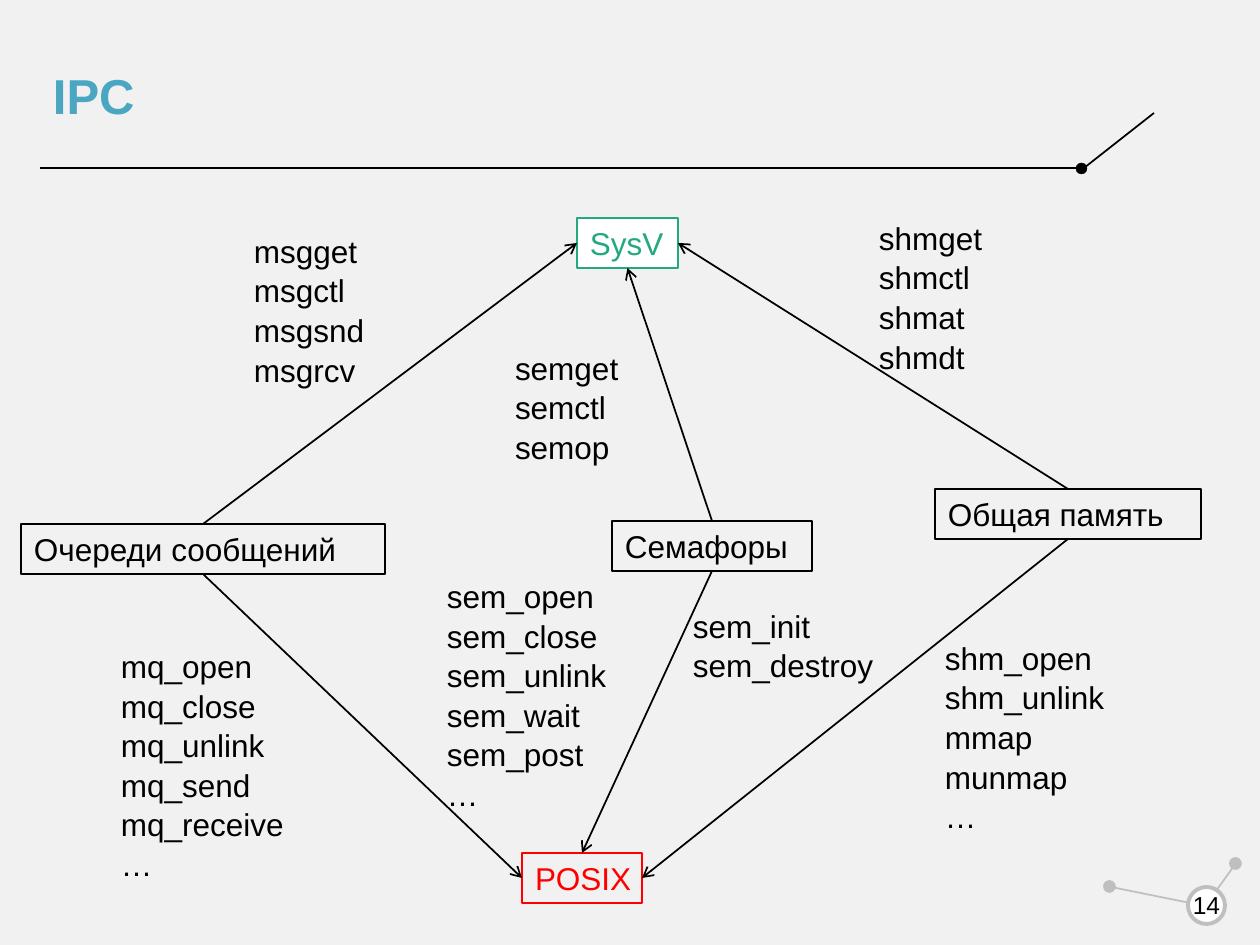
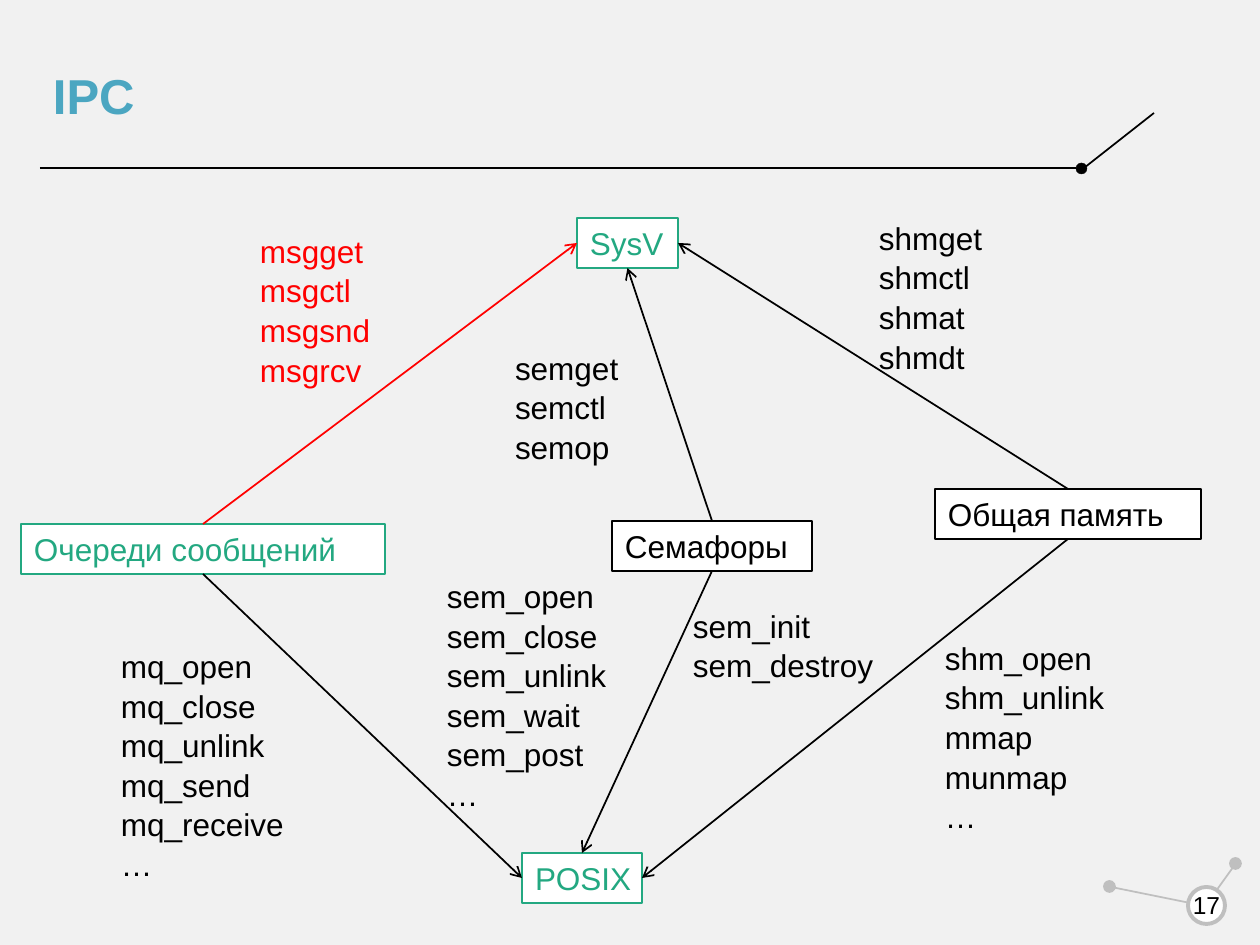
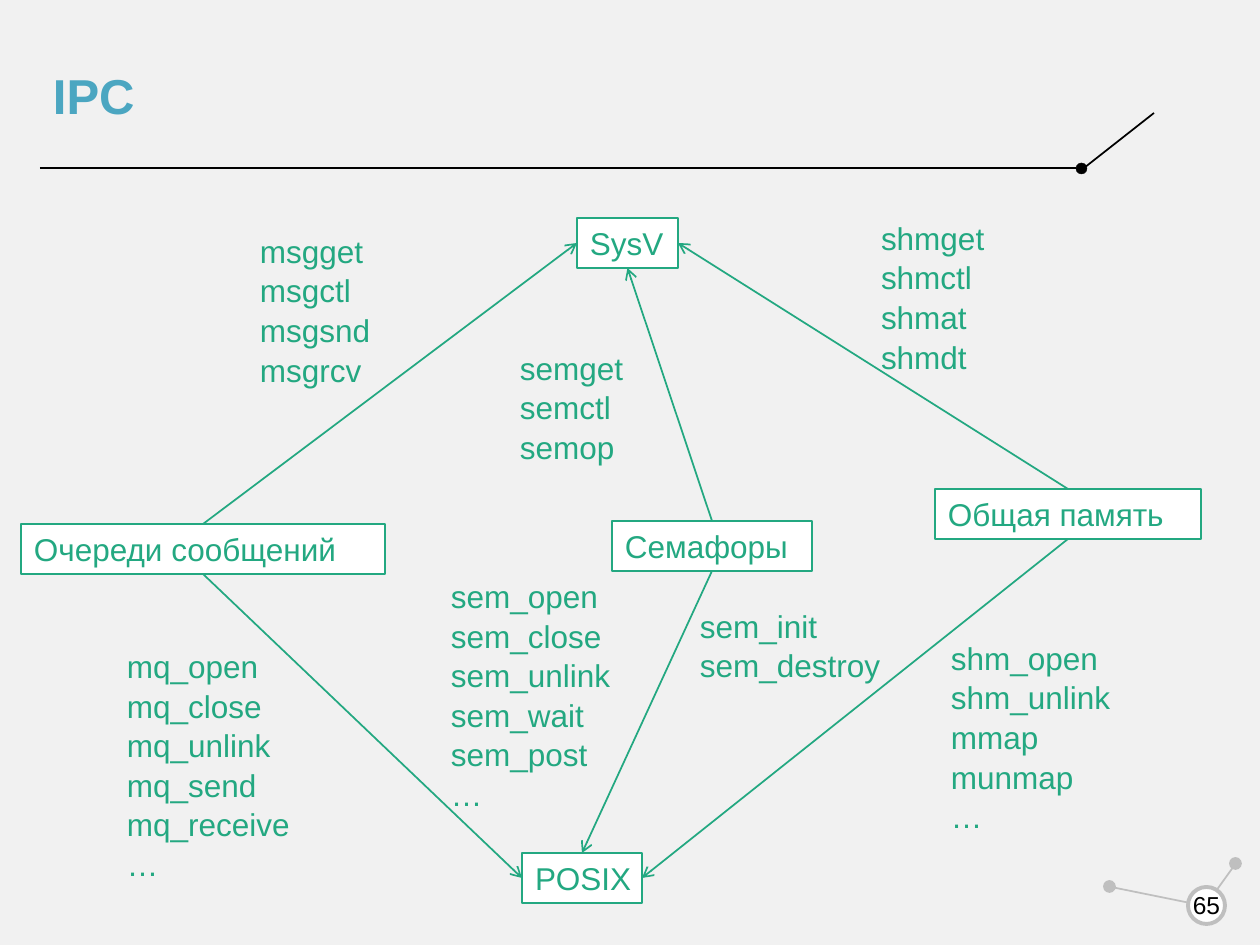
"""Build three IPC slides that link each mechanism to its SysV and POSIX calls."""
from lxml.etree import SubElement
from pptx import Presentation
from pptx.dml.color import RGBColor
from pptx.enum.shapes import MSO_CONNECTOR, MSO_SHAPE
from pptx.enum.text import MSO_ANCHOR, PP_ALIGN
from pptx.oxml.ns import qn
from pptx.util import Emu, Pt

BLACK, WHITE, GREY, PALE = "000000", "FFFFFF", "BFBFBF", "F1F1F1"
RED, GREEN, BLUE = "FF0000", "23A881", "4BA6C1"
FONT = "Arial"
TOP, LEFT, BOTTOM, RIGHT = range(4)

BOXES = {
    "queue": ("Очереди сообщений", 21, 524, 364),
    "sem": ("Семафоры", 612, 521, 200),
    "mem": ("Общая память", 935, 489, 266),
    "posix": ("POSIX", 522, 853, 120),
    "sysv": ("SysV", 577, 218, 101),
}
ARROWS = [
    ("queue", TOP, "sysv", LEFT),
    ("mem", TOP, "sysv", RIGHT),
    ("sem", BOTTOM, "posix", TOP),
    ("sem", TOP, "sysv", BOTTOM),
    ("mem", BOTTOM, "posix", RIGHT),
    ("queue", BOTTOM, "posix", LEFT),
]
CALLS = [
    ("msgget msgctl msgsnd msgrcv", 241, 226, 147, 6),
    ("mq_open mq_close mq_unlink mq_send mq_receive …", 108, 641, 205, 6),
    ("semget semctl semop", 502, 343, 142, 5),
    ("sem_open sem_close sem_unlink sem_wait sem_post …", 434, 571, 203, 4),
    ("sem_init sem_destroy", 680, 601, 226, 7),
    ("shmget shmctl shmat shmdt", 866, 213, 144, 2),
    ("shm_open shm_unlink mmap munmap …", 932, 633, 203, 6),
]
SLIDES = [
    {"page": "14", "ink": BLACK, "fill": None,
     "boxes": {"posix": RED, "sysv": GREEN}},
    {"page": "17", "ink": BLACK, "fill": WHITE, "first": RED,
     "boxes": {"queue": GREEN, "posix": GREEN, "sysv": GREEN}},
    {"page": "65", "ink": GREEN, "fill": WHITE, "boxes": {}},
]
RULES = [
    (40, 168, 1076, 168, BLACK),
    (1084, 168, 1154, 113, BLACK),
    (1234, 866, 1216, 891, GREY),
    (1111, 887, 1200, 905, GREY),
]
DOTS = [
    (1076, 163, 11, BLACK, BLACK, 0.25),
    (1230, 858, 11, GREY, GREY, 1),
    (1104, 881, 11, GREY, GREY, 1),
    (1188, 887, 37, WHITE, GREY, 2.25),
]


def px(*nums):
    return [Emu(round(n * 914400 / 126)) for n in nums]


def tint(code):
    return RGBColor.from_string(code)


def paint(shape, fill, line, width):
    shape.shadow.inherit = False
    if fill:
        shape.fill.solid()
        shape.fill.fore_color.rgb = tint(fill)
    else:
        shape.fill.background()
    shape.line.color.rgb = tint(line)
    shape.line.width = Pt(width)


def write(shape, lines, color=BLACK, size=18, bold=False, side=13,
          align=PP_ALIGN.LEFT, anchor=MSO_ANCHOR.TOP, gap=0):
    frame = shape.text_frame
    frame.word_wrap = True
    frame.vertical_anchor = anchor
    frame.margin_left, frame.margin_right = px(side, 0)
    frame.margin_top = frame.margin_bottom = px(6)[0]
    frame.text = "\n".join(lines)
    for para in frame.paragraphs:
        para.alignment = align
        para.space_after = Pt(gap)
        font = para.runs[0].font
        font.name, font.size, font.bold = FONT, Pt(size), bold
        font.color.rgb = tint(color)


def link(slide, ends, color):
    line = slide.shapes.add_connector(MSO_CONNECTOR.STRAIGHT, *px(*ends))
    line.line.color.rgb = tint(color)
    line.line.width = Pt(1)
    SubElement(line.element.spPr, qn("a:effectLst"))
    return line


def frame_slide(slide, page):
    for *ends, color in RULES:
        link(slide, ends, color)
    for x, y, size, fill, line, width in DOTS:
        dot = slide.shapes.add_shape(MSO_SHAPE.OVAL, *px(x, y, size, size))
        paint(dot, fill, line, width)
    title = slide.shapes.add_textbox(*px(40, 35, 1036, 120))
    write(title, ["IPC"], color=BLUE, size=28, bold=True, anchor=MSO_ANCHOR.MIDDLE)
    label = slide.shapes.add_textbox(*px(1181, 880, 51, 50))
    write(label, [page], size=14, side=0, align=PP_ALIGN.CENTER,
          anchor=MSO_ANCHOR.MIDDLE)


def draw_map(slide, look):
    ink, first, nodes = look["ink"], look.get("first", look["ink"]), {}
    for key, (text, x, y, wide) in BOXES.items():
        color = look["boxes"].get(key, ink)
        box = slide.shapes.add_shape(MSO_SHAPE.RECTANGLE, *px(x, y, wide, 50))
        hub = key == "sysv"
        paint(box, WHITE if hub else look["fill"], color, 1 if hub else 0.75)
        write(box, [text], color=color)
        nodes[key] = box
    for i, (start, out, end, into) in enumerate(ARROWS):
        arrow = link(slide, (0, 0, 0, 0), ink if i else first)
        arrow.begin_connect(nodes[start], out)
        arrow.end_connect(nodes[end], into)
        SubElement(arrow.line._get_or_add_ln(), qn("a:tailEnd"), type="arrow")
    for i, (names, x, y, wide, nudge) in enumerate(CALLS):
        color = ink if i else first
        lines = names.split()
        left = x if color == BLACK else x + nudge
        box = slide.shapes.add_textbox(*px(left, y, wide, 13 + 38 * len(lines)))
        write(box, lines, color=color, gap=1)


def main():
    deck = Presentation()
    deck.slide_width, deck.slide_height = px(1260, 945)
    back = deck.slide_master.background.fill
    back.solid()
    back.fore_color.rgb = tint(PALE)
    for look in SLIDES:
        slide = deck.slides.add_slide(deck.slide_layouts[6])
        frame_slide(slide, look["page"])
        draw_map(slide, look)
    deck.save("out.pptx")


if __name__ == "__main__":
    main()
